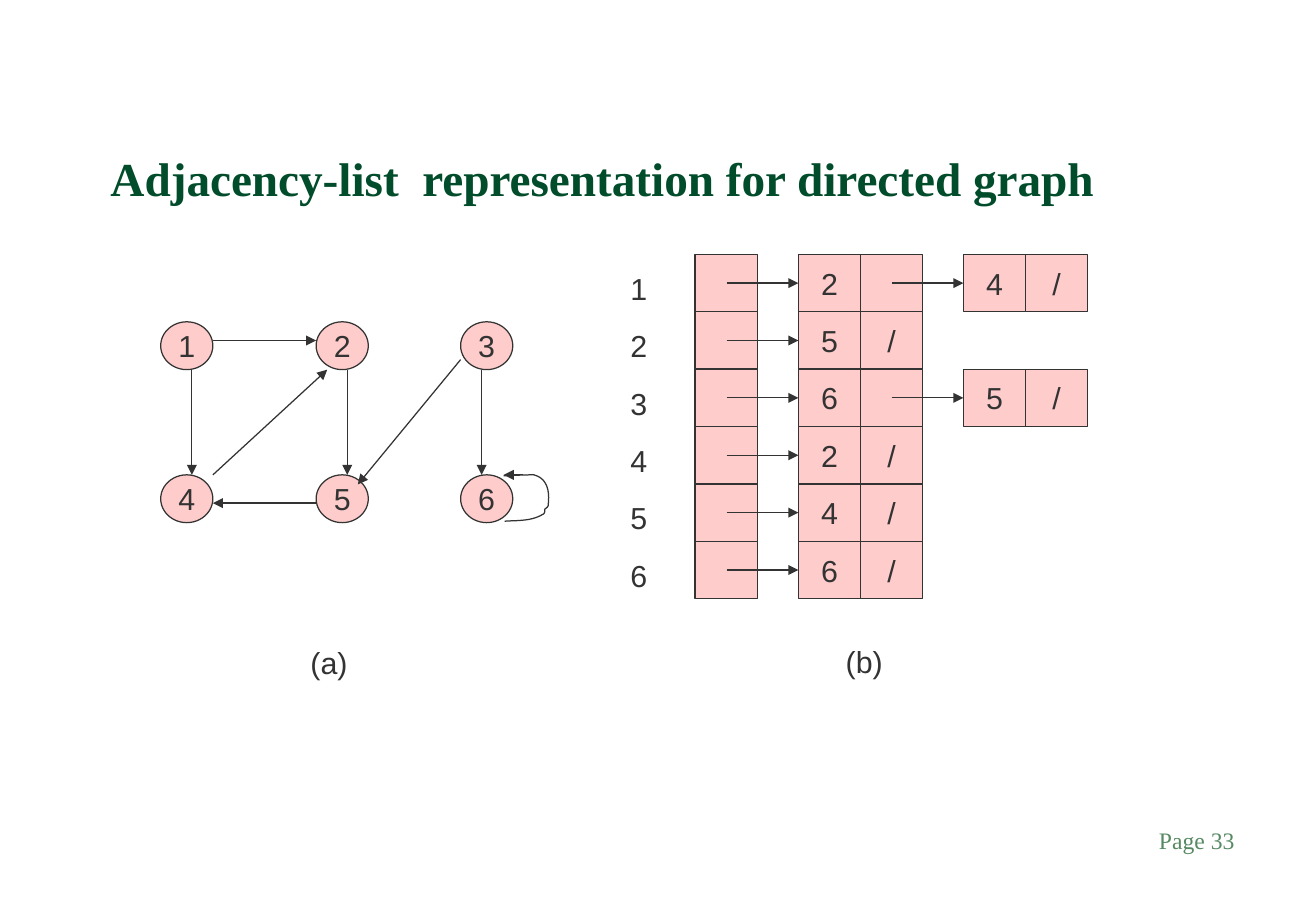
from lxml.etree import SubElement
from pptx import Presentation
from pptx.dml.color import RGBColor
from pptx.enum.shapes import MSO_CONNECTOR, MSO_SHAPE
from pptx.enum.text import MSO_ANCHOR, PP_ALIGN
from pptx.oxml.ns import qn
from pptx.util import Cm, Pt

COLORS = {"title": "004C2B", "page": "578963", "ink": "333333", "fill": "FFCCCC"}
NODE_W, NODE_H = 1.09, 1.0
CELL_W, CELL_H = 1.3, 1.2
CAPTION_W, TEXT_H = 1.52, 1.02
LIST_X, LIST_STEP, ARROW_LEN = 2.16, 3.45, 1.5

NODES = {1: (0, 0), 2: (3.25, 0), 3: (6.27, 0),
         4: (0, 3.2), 5: (3.25, 3.2), 6: (6.27, 3.2)}
EDGES = [
    (1, (0.65, 1.0), 4, (0.65, 0)),
    (1, (1.09, 0.39), 2, (0, 0.39)),
    (5, (0, 0.59), 4, (1.09, 0.59)),
    (4, (1.09, 0), 2, (0.23, 1.0)),
    (2, (0.65, 1.0), 5, (0.65, 0)),
    (3, (0, 0.79), 5, (0.87, 0.2)),
    (3, (0.44, 1.0), 6, (0.44, 0)),
]
LOOP_START = (0.92, 0.97)
LOOP_CURVES = [
    ((1.25, 0.95), (1.48, 0.97), (1.73, 0.82)),
    ((1.76, 0.8), (1.76, 0.75), (1.76, 0.72)),
    ((1.78, 0.7), (1.83, 0.67), (1.83, 0.64)),
    ((1.86, 0.36), (1.83, 0.08), (1.53, 0)),
    ((1.32, 0), (0.9, 0.02), (0.9, 0.02)),
]
ADJACENCY = {1: (2, 4), 2: (5,), 3: (6, 5), 4: (2,), 5: (4,), 6: (6,)}


def color(name):
    """Return the named colour."""
    return RGBColor.from_string(COLORS[name])


def add_run(tf, text, size=18, font="Arial", ink="ink", bold=False, align=PP_ALIGN.LEFT):
    """Put one styled run in the first paragraph of a text frame."""
    p = tf.paragraphs[0]
    p.alignment = align
    r = p.add_run()
    r.text = text
    r.font.size, r.font.name, r.font.bold = Pt(size), font, bold
    r.font.color.rgb = color(ink)


def add_text(s, x, y, w, h, text, wrap=True, anchor=MSO_ANCHOR.TOP, **style):
    """Add a text box with a single run."""
    tf = s.shapes.add_textbox(Cm(x), Cm(y), Cm(w), Cm(h)).text_frame
    tf.word_wrap, tf.vertical_anchor = wrap, anchor
    add_run(tf, text, **style)


def add_box(s, kind, x, y, w, h, text=""):
    """Add a pink outlined shape with centred text."""
    sp = s.shapes.add_shape(kind, Cm(x), Cm(y), Cm(w), Cm(h))
    sp.shadow.inherit = False
    sp.fill.solid()
    sp.fill.fore_color.rgb = color("fill")
    sp.line.color.rgb, sp.line.width = color("ink"), Pt(0.75)
    if text:
        tf = sp.text_frame
        tf.word_wrap, tf.vertical_anchor = False, MSO_ANCHOR.MIDDLE
        add_run(tf, text, align=PP_ALIGN.CENTER)
    return sp


def add_arrow(s, x1, y1, x2, y2):
    """Add a thin straight arrow."""
    cx = s.shapes.add_connector(MSO_CONNECTOR.STRAIGHT, Cm(x1), Cm(y1), Cm(x2), Cm(y2))
    cx.line.color.rgb, cx.line.width = color("ink"), Pt(0.75)
    SubElement(cx.line._get_or_add_ln(), qn("a:tailEnd"), type="triangle")
    SubElement(cx._element.spPr, qn("a:effectLst"))
    return cx


def curve_points(start, curves, steps=10):
    """Sample a chain of cubic Bezier curves."""
    points = []
    for c1, c2, end in curves:
        for i in range(1, steps + 1):
            t = i / steps
            u = 1 - t
            points.append(tuple(
                u**3 * a + 3 * u * u * t * b + 3 * u * t * t * c + t**3 * d
                for a, b, c, d in zip(start, c1, c2, end)))
        start = end
    return points


def add_self_loop(s, x, y):
    """Draw the loop of the node whose corner is at x, y."""
    fb = s.shapes.build_freeform(Cm(x + LOOP_START[0]), Cm(y + LOOP_START[1]))
    fb.add_line_segments([(Cm(x + dx), Cm(y + dy))
                          for dx, dy in curve_points(LOOP_START, LOOP_CURVES)], close=False)
    sp = fb.convert_to_shape()
    sp.shadow.inherit = False
    sp.fill.background()
    sp.line.color.rgb, sp.line.width = color("ink"), Pt(0.75)
    add_arrow(s, x + 1.3, y, x + 0.9, y)


def add_graph(s, x, y):
    """Draw the directed graph and its caption."""
    for name, (dx, dy) in NODES.items():
        add_box(s, MSO_SHAPE.OVAL, x + dx, y + dy, NODE_W, NODE_H, str(name))
    for a, (ax, ay), b, (bx, by) in EDGES:
        add_arrow(s, x + NODES[a][0] + ax, y + NODES[a][1] + ay,
                  x + NODES[b][0] + bx, y + NODES[b][1] + by)
    add_self_loop(s, x + NODES[6][0], y + NODES[6][1])
    add_text(s, x + 2.88, y + 6.61, CAPTION_W, TEXT_H, "(a)")


def add_adjacency_lists(s, x, y):
    """Draw the vertex array, its linked lists and the caption."""
    for row, (vertex, neighbours) in enumerate(ADJACENCY.items()):
        top = y + row * CELL_H
        add_text(s, x - 1.6, top + 0.2, 0.86, TEXT_H, str(vertex), wrap=False)
        add_box(s, MSO_SHAPE.RECTANGLE, x, top, CELL_W, CELL_H)
        for i, neighbour in enumerate(neighbours):
            left = x + LIST_X + i * LIST_STEP
            end_mark = "/" if i == len(neighbours) - 1 else ""
            key = add_box(s, MSO_SHAPE.RECTANGLE, left, top, CELL_W, CELL_H, str(neighbour))
            add_box(s, MSO_SHAPE.RECTANGLE, left + CELL_W, top, CELL_W, CELL_H, end_mark)
            middle = top + CELL_H / 2
            add_arrow(s, left - ARROW_LEN, middle, left, middle).end_connect(key, 1)
    add_text(s, x + 2.9, y + 8.01, CAPTION_W, TEXT_H, "(b)")


def add_heading(s, x, y, w, h):
    """Add the slide title."""
    add_text(s, x, y, w, h, "Adjacency-list  representation for directed graph",
             anchor=MSO_ANCHOR.BOTTOM, size=28, font="Times New Roman", ink="title", bold=True)


def add_page_number(s, x, y, w, h):
    """Add the page number."""
    add_text(s, x, y, w, h, "Page 33", size=14, font="Times New Roman",
             ink="page", align=PP_ALIGN.RIGHT)


def main():
    """Build and save the slide."""
    prs = Presentation()
    prs.slide_width, prs.slide_height = Cm(27.51), Cm(19.05)
    s = prs.slides.add_slide(prs.slide_layouts[6])
    add_page_number(s, 20.32, 17.15, 5.74, 1.27)
    add_heading(s, 2.06, 1.26, 23.37, 3.18)
    add_adjacency_lists(s, 14.53, 5.32)
    add_graph(s, 3.36, 6.73)
    prs.save("out.pptx")


if __name__ == "__main__":
    main()
